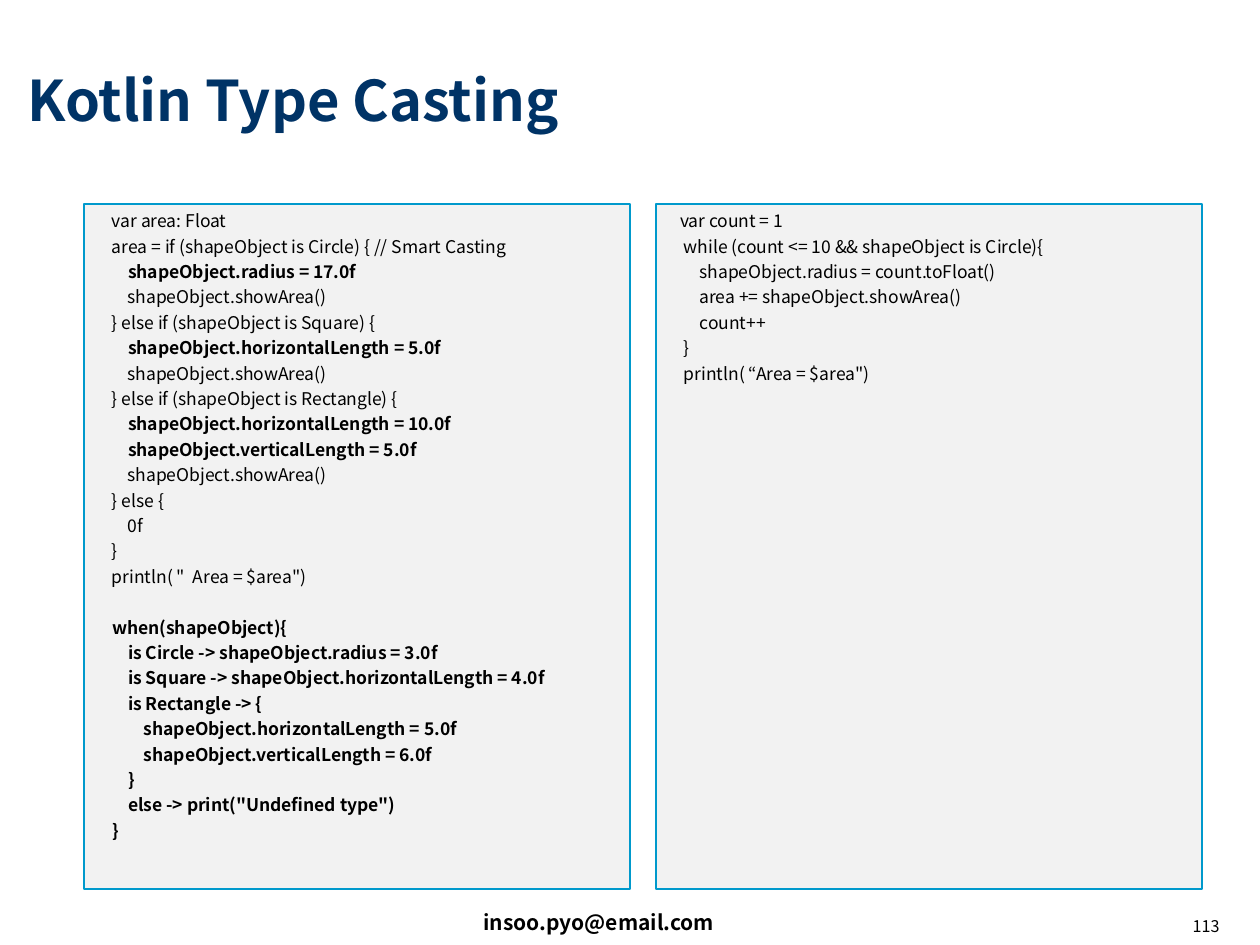
from pptx import Presentation
from pptx import util as u
from pptx.dml.color import RGBColor
from pptx.enum import shapes, text

SCALE = 914400 // 126  # EMU in one px
FONT = "Noto Sans CJK KR"
NAVY = RGBColor(0x00, 0x33, 0x66)
BLACK = RGBColor(0x00, 0x00, 0x00)
PANEL_FILL = RGBColor(0xF2, 0xF2, 0xF2)
PANEL_LINE = RGBColor(0x00, 0x99, 0xCC)

# Code lines: a leading "*" marks a bold line, None leaves a line's gap
CASTING_CODE = [
    "    var area: Float",
    "    area = if (shapeObject is Circle) { // Smart Casting",
    "*        shapeObject.radius = 17.0f",
    "        shapeObject.showArea()",
    "    } else if (shapeObject is Square) {",
    "*        shapeObject.horizontalLength = 5.0f",
    "        shapeObject.showArea()",
    "    } else if (shapeObject is Rectangle) {",
    "*        shapeObject.horizontalLength = 10.0f",
    "*        shapeObject.verticalLength = 5.0f",
    "        shapeObject.showArea()",
    "    } else {",
    "        0f",
    "    }",
    '    println( "  Area = $area")',
    None,
    "*    when(shapeObject){",
    "*        is Circle -> shapeObject.radius = 3.0f",
    "*        is Square -> shapeObject.horizontalLength = 4.0f",
    "*        is Rectangle -> {",
    "*            shapeObject.horizontalLength = 5.0f",
    "*            shapeObject.verticalLength = 6.0f",
    "*        }",
    '*        else -> print("Undefined type")',
    "*    }",
]
LOOP_CODE = [
    "   var count = 1",
    "    while (count <= 10 && shapeObject is Circle){",
    "        shapeObject.radius = count.toFloat()",
    "        area += shapeObject.showArea()",
    "        count++",
    "    }",
    '    println( “Area = $area")',
]


class SlideBuilder:
    line_gap = u.Pt(2.5)
    blank_line = u.Pt(14.5)

    def __init__(self, slide):
        self.slide = slide

    def box(self, *lengths):
        return [length * SCALE for length in lengths]

    def run(self, paragraph, content, size, color=BLACK, bold=False):
        run = paragraph.add_run()
        run.text = content
        run.font.name = FONT
        run.font.size = u.Pt(size)
        run.font.bold = bold
        run.font.color.rgb = color

    def title(self, content, left, top, width, height):
        shape = self.slide.shapes.title
        shape.left, shape.top, shape.width, shape.height = self.box(left, top, width, height)
        frame = shape.text_frame
        frame.auto_size = text.MSO_AUTO_SIZE.NONE
        frame.vertical_anchor = text.MSO_ANCHOR.MIDDLE
        paragraph = frame.paragraphs[0]
        paragraph.alignment = text.PP_ALIGN.LEFT
        self.run(paragraph, content, 32, NAVY, True)

    def label(self, content, left, top, width, height, size, bold=False,
              align=text.PP_ALIGN.LEFT):
        shape = self.slide.shapes.add_textbox(*self.box(left, top, width, height))
        shape.text_frame.word_wrap = True
        paragraph = shape.text_frame.paragraphs[0]
        paragraph.alignment = align
        self.run(paragraph, content, size, bold=bold)

    def code_panel(self, lines, left, top, width, height):
        shape = self.slide.shapes.add_shape(
            shapes.MSO_SHAPE.RECTANGLE, *self.box(left, top, width, height))
        shape.shadow.inherit = False
        shape.fill.solid()
        shape.fill.fore_color.rgb = PANEL_FILL
        shape.line.color.rgb = PANEL_LINE
        shape.line.width = u.Pt(1.5)
        frame = shape.text_frame
        frame.word_wrap = True
        frame.vertical_anchor = text.MSO_ANCHOR.TOP
        paragraph, gap = frame.paragraphs[0], 0
        for index, line in enumerate(lines):
            if line is None:
                gap += self.blank_line
                continue
            if index:
                paragraph = frame.add_paragraph()
            paragraph.alignment = text.PP_ALIGN.LEFT
            paragraph.space_before = u.Emu(gap)
            self.run(paragraph, line.removeprefix("*"), 10, bold=line.startswith("*"))
            gap = self.line_gap


def main():
    presentation = Presentation()
    presentation.slide_width = u.Inches(10)
    presentation.slide_height = u.Inches(7.5)
    title_only = presentation.slide_layouts[5]
    builder = SlideBuilder(presentation.slides.add_slide(title_only))

    # Title
    builder.title("Kotlin Type Casting", 15, 23, 1217, 152)

    # Two equal code panels
    for column, lines in enumerate((CASTING_CODE, LOOP_CODE)):
        builder.code_panel(lines, 84 + column * 572, 204, 546, 685)

    # Footer: contact and page number
    builder.label("insoo.pyo@email.com", 471, 903, 407, 38, 12, bold=True)
    builder.label("113", 970, 910, 262, 35, 9.2, align=text.PP_ALIGN.RIGHT)

    presentation.save("out.pptx")


if __name__ == "__main__":
    main()
